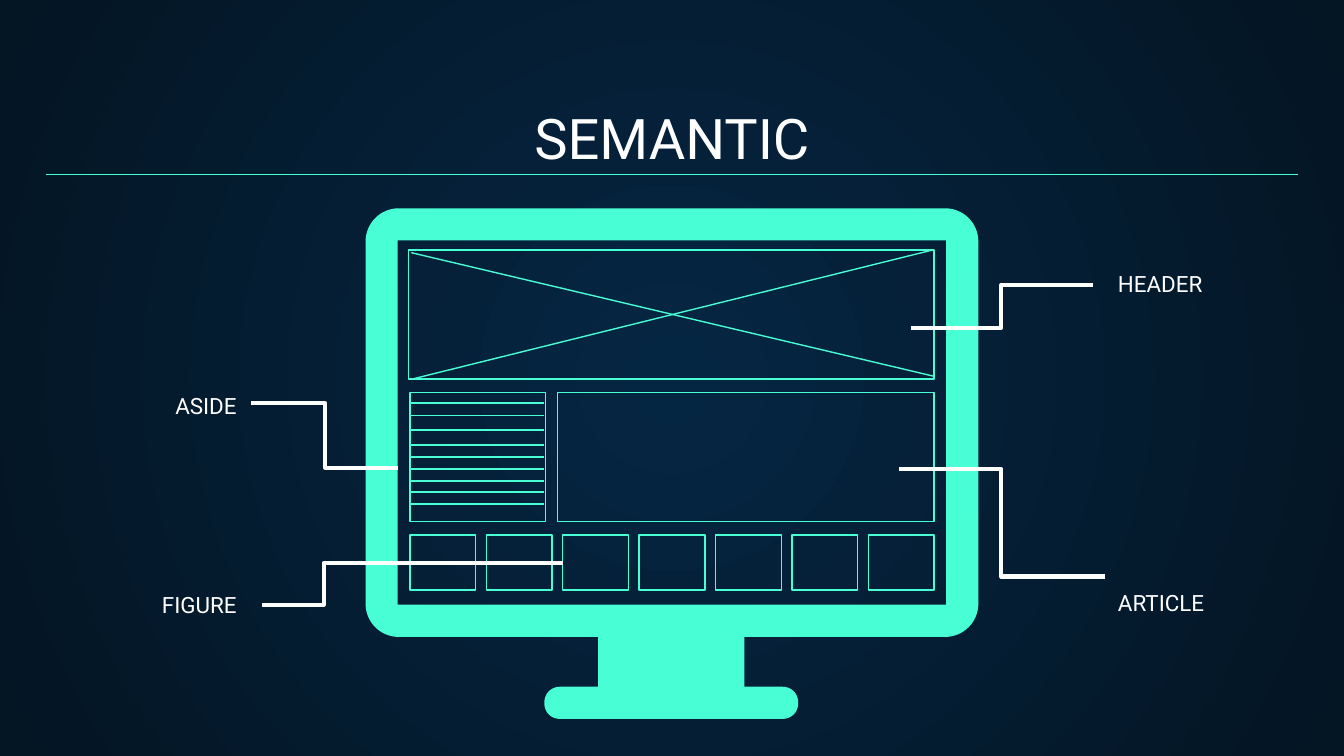
from dataclasses import dataclass

from lxml import etree
from pptx import Presentation
from pptx import util as u
from pptx.dml.color import RGBColor
from pptx.enum import shapes, text
from pptx.oxml import parse_xml
from pptx.oxml.ns import nsdecls, qn

PX = u.Inches(1) // 100
ROUNDNESS = 0.55


@dataclass(frozen=True)
class Theme:
    accent: str = "48FFD5"
    ink: str = "FFFFFF"
    glow: str = "052643"
    edge: str = "041523"
    font: str = "Roboto"
    title_size: int = 30
    label_size: int = 12
    thin: float = 0.75
    thick: float = 2.25


THEME = Theme()


def color(code):
    return RGBColor.from_string(code)


def paint_background(page):
    """Fill the page with a gradient that spreads from its centre."""
    fill = page.background.fill
    fill.gradient()
    for stop, code in zip(fill.gradient_stops, (THEME.glow, THEME.edge)):
        stop.color.rgb = color(code)
    gradient = page.element.xpath(".//a:gradFill")[0]
    linear = gradient.find(qn("a:lin"))
    gradient.replace(linear, parse_xml(
        f'<a:path {nsdecls("a")} path="circle">'
        '<a:fillToRect l="50000" t="50000" r="50000" b="50000"/></a:path>'))


def add_text(page, box, words, size, align, anchor=text.MSO_ANCHOR.TOP, spacing=None):
    frame = page.shapes.add_textbox(*(n * PX for n in box)).text_frame
    frame.text = words
    frame.word_wrap = True
    frame.vertical_anchor = anchor
    frame.margin_left = frame.margin_right = 10 * PX
    frame.margin_top = frame.margin_bottom = 10 * PX
    para = frame.paragraphs[0]
    para.alignment = align
    para.line_spacing = spacing
    font = para.runs[0].font
    font.name, font.size = THEME.font, u.Pt(size)
    font.color.rgb = color(THEME.ink)


def add_line(page, start, end, code=THEME.accent, width=THEME.thin, turn=None):
    """Draw a straight line, or an elbow whose upright part stands at x = turn."""
    kind = shapes.MSO_CONNECTOR.STRAIGHT if turn is None else shapes.MSO_CONNECTOR.ELBOW
    line = page.shapes.add_connector(kind, *(n * PX for n in (*start, *end)))
    line.line.color.rgb = color(code)
    line.line.width = u.Pt(width)
    properties = line._element.spPr
    etree.SubElement(properties, qn("a:effectLst"))
    if turn is not None:
        share = (turn - start[0]) / (end[0] - start[0])
        guides = properties.find(qn("a:prstGeom")).get_or_add_avLst()
        etree.SubElement(guides, qn("a:gd"), name="adj1",
                         fmla=f"val {round(share * 100000)}")


def add_frame(parent, left, top, width, height):
    frame = parent.shapes.add_shape(
        shapes.MSO_SHAPE.RECTANGLE,
        *(round(n * PX) for n in (left, top, width, height)))
    frame.shadow.inherit = False
    frame.fill.background()
    frame.line.color.rgb = color(THEME.accent)
    frame.line.width = u.Pt(THEME.thin)


def round_off(segment, start, corner, end):
    """Turn a straight segment into a curve that bulges towards the corner."""
    curve = etree.Element(qn("a:cubicBezTo"))
    controls = [[round(a + (c - a) * ROUNDNESS) for a, c in zip(point, corner)]
                for point in (start, end)]
    for x, y in (*controls, end):
        etree.SubElement(curve, qn("a:pt"), x=str(x * PX), y=str(y * PX))
    segment.getparent().replace(segment, curve)


def add_monitor(page, box):
    left, top, width, height = box
    corner, bezel, body = 25, 24, 319
    neck_left, neck_right = 173, 282
    foot, foot_left, foot_right = 12, 145, 310
    foot_top, foot_middle = height - 2 * foot, height - foot
    foot_start, foot_end = foot_left - foot, foot_right + foot
    # Each step is an end point, with the corner to round when it is a curve.
    steps = [
        ((0, corner), None),
        ((corner, 0), (0, 0)),
        ((width - corner, 0), None),
        ((width, corner), (width, 0)),
        ((width, body - corner), None),
        ((width - corner, body), (width, body)),
        ((neck_right, body), None),
        ((neck_right, foot_top), None),
        ((foot_right, foot_top), None),
        ((foot_end, foot_middle), (foot_end, foot_top)),
        ((foot_right, height), (foot_end, height)),
        ((foot_left, height), None),
        ((foot_start, foot_middle), (foot_start, height)),
        ((foot_left, foot_top), (foot_start, foot_top)),
        ((neck_left, foot_top), None),
        ((neck_left, body), None),
        ((corner, body), None),
        ((0, body - corner), (0, body)),
    ]
    screen = [(bezel, bezel), (bezel, body - bezel),
              (width - bezel, body - bezel), (width - bezel, bezel)]

    def place(points):
        return [((left + x) * PX, (top + y) * PX) for x, y in points]

    outline = place(end for end, _ in steps)
    hole = place(screen)
    builder = page.shapes.build_freeform(*outline[0])
    builder.add_line_segments(outline[1:])
    builder.move_to(*hole[0])
    builder.add_line_segments(hole[1:])
    monitor = builder.convert_to_shape()
    monitor.shadow.inherit = False
    monitor.fill.solid()
    monitor.fill.fore_color.rgb = color(THEME.accent)
    monitor.line.fill.background()
    segments = monitor._element.xpath(".//a:lnTo")
    for segment, (start, _), (end, bulge) in zip(segments, steps, steps[1:]):
        if bulge:
            round_off(segment, start, bulge, end)


def add_header(page, box):
    left, top, width, height = box
    add_frame(page, *box)
    add_line(page, (left + 2, top + 2), (left + width, top + height - 2))
    add_line(page, (left + 3, top + height), (left + width - 1, top))


def add_aside(page, box):
    left, top, width, height = box
    add_frame(page, *box)
    for drop in (8, 17, 28, 39, 48, 57, 66, 74, 83):
        add_line(page, (left, top + drop), (left + width - 1, top + drop))


def add_figures(page, box, count=7, size=49):
    left, top, width, height = box
    group = page.shapes.add_group_shape()
    step = (width - size) / (count - 1)
    for i in range(count):
        add_frame(group, left + i * step, top, size, height)


def add_wireframe(page, box):
    left, top, width, height = box
    add_header(page, (left, top, width, 96))
    add_aside(page, (left + 1, top + 106, 101, 96))
    add_frame(page, left + 111, top + 106, width - 111, 96)
    add_figures(page, (left + 1, top + height - 41, width - 1, 41))


def add_title(page, box):
    left, top, width, height = box
    add_text(page, box, "SEMANTIC", THEME.title_size,
             text.PP_ALIGN.CENTER, text.MSO_ANCHOR.BOTTOM)
    add_line(page, (left, top + 60), (left + width, top + 60))


def add_callouts(page):
    to_left, to_right = text.PP_ALIGN.LEFT, text.PP_ALIGN.RIGHT
    callouts = (
        ("HEADER", 822, 191, to_left, None, (678, 244), (813, 212), 745),
        ("ASIDE", 70, 282, to_right, None, (187, 300), (296, 348), 242),
        ("ARTICLE", 822, 408, to_left, 2, (669, 349), (822, 429), 745),
        ("FIGURE", 70, 430, to_right, None, (195, 450), (419, 419), 241),
    )
    for words, left, top, align, spacing, start, end, turn in callouts:
        add_text(page, (left, top, 116, 21), words, THEME.label_size, align,
                 spacing=spacing)
        add_line(page, start, end, THEME.ink, THEME.thick, turn)


def main():
    deck = Presentation()
    deck.slide_width, deck.slide_height = u.Inches(10), u.Inches(5.625)
    page = deck.slides.add_slide(deck.slide_layouts[6])
    paint_background(page)
    add_monitor(page, (272, 155, 456, 380))
    add_wireframe(page, (304, 186, 391, 253))
    add_callouts(page)
    add_title(page, (34, 70, 932, 67))
    deck.save("out.pptx")


if __name__ == "__main__":
    main()
